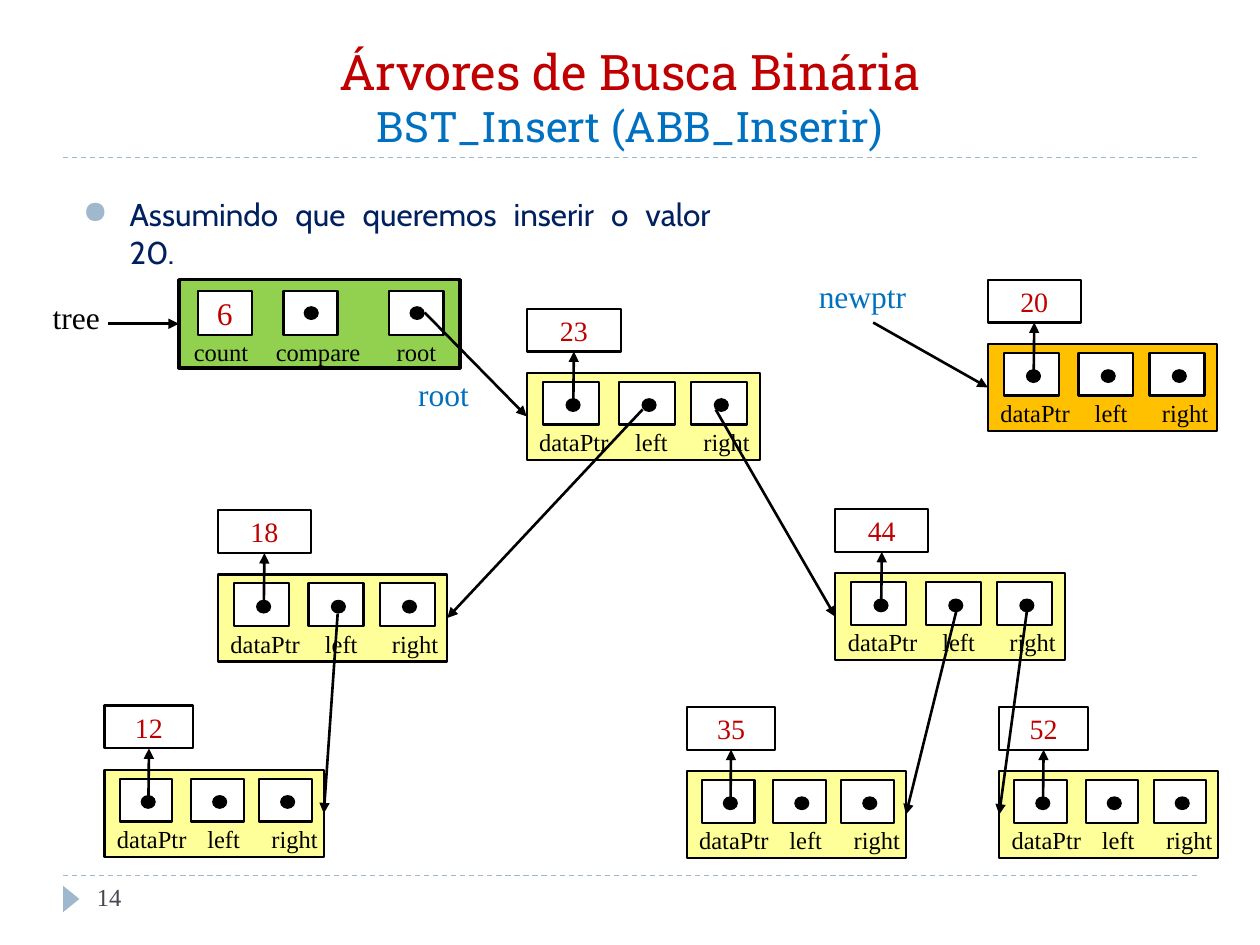
import pptx
import pptx.util
import pptx.dml.color
import pptx.enum.dml
import pptx.enum.shapes
import pptx.enum.text
import pptx.oxml
import pptx.oxml.ns

Inches = pptx.util.Inches
Pt = pptx.util.Pt
SHAPE = pptx.enum.shapes.MSO_SHAPE
ALIGN = pptx.enum.text.PP_ALIGN
ANCHOR = pptx.enum.text.MSO_ANCHOR
NS = pptx.oxml.ns.nsdecls("a")
SERIF = "Times New Roman"
LABEL_H = 0.34
DOT_W, DOT_H = 0.12, 0.11


def rgb(hex_color):
    """Return the colour object for a hex string."""
    return pptx.dml.color.RGBColor.from_string(hex_color)


def style_run(r, size, color, font=SERIF):
    """Format one run."""
    r.font.size = Pt(size)
    r.font.name = font
    r.font.color.rgb = rgb(color)


def add_text(shapes, text, left, top, width, height, size=14, color="000000", font=SERIF, wrap=False):
    """Add a text box and return its paragraph."""
    tf = shapes.add_textbox(Inches(left), Inches(top), Inches(width), Inches(height)).text_frame
    tf.word_wrap = wrap
    p = tf.paragraphs[0]
    p.text = text
    style_run(p.runs[0], size, color, font)
    return p


def add_box(shapes, kind, left, top, width, height, fill, line=None):
    """Add a filled preset shape, outlined in black when a line width is given."""
    sp = shapes.add_shape(kind, Inches(left), Inches(top), Inches(width), Inches(height))
    sp.shadow.inherit = False
    sp.fill.solid()
    sp.fill.fore_color.rgb = rgb(fill)
    if line is None:
        sp.line.fill.background()
    else:
        sp.line.color.rgb = rgb("000000")
        sp.line.width = Pt(line)
    return sp


def add_value(shapes, text, left, top, width, height, size):
    """Add a white box holding a centred red value."""
    sp = add_box(shapes, SHAPE.RECTANGLE, left, top, width, height, "FFFFFF", 1.25)
    tf = sp.text_frame
    tf.vertical_anchor = ANCHOR.MIDDLE
    p = tf.paragraphs[0]
    p.text = text
    p.alignment = ALIGN.CENTER
    style_run(p.runs[0], size, "C00000")
    return sp


def add_dot(shapes, x, y):
    """Add a pointer dot centred on a point."""
    add_box(shapes, SHAPE.OVAL, x - DOT_W / 2, y - DOT_H / 2, DOT_W, DOT_H, "000000")


def add_line(shapes, start, end, color="000000", width=1.5):
    """Add a straight connector without a shadow."""
    cxn = shapes.add_connector(pptx.enum.shapes.MSO_CONNECTOR.STRAIGHT,
                               *(Inches(v) for v in (*start, *end)))
    cxn.line.color.rgb = rgb(color)
    cxn.line.width = Pt(width)
    cxn._element.spPr.append(pptx.oxml.parse_xml(f"<a:effectLst {NS}/>"))
    return cxn


def add_arrow(shapes, start, target, site):
    """Draw an arrow from a point to the middle of a rectangle's side."""
    cxn = add_line(shapes, start, start)
    cxn.end_connect(target, site)
    cxn.line._get_or_add_ln().append(pptx.oxml.parse_xml(f'<a:tailEnd {NS} type="triangle"/>'))


def add_node(slide, value, left, top, width, fill="FFFF99"):
    """Draw a tree node with its data box above and return its body."""
    shapes = slide.shapes.add_group_shape().shapes
    body = add_box(shapes, SHAPE.RECTANGLE, left, top, width, 0.69, fill, 1.25)
    data = add_value(shapes, value, left, top - 0.51, width * 0.405, 0.34, 16)
    fields = [("dataPtr", 0.069, 0, 0.435), ("left", 0.395, 0.412, 0.268), ("right", 0.705, 0.705, 0.33)]
    dot_y = top + 0.255
    for name, cell_at, label_at, label_w in fields:
        cell_left = left + width * cell_at
        add_box(shapes, SHAPE.RECTANGLE, cell_left, top + 0.07, width * 0.24, 0.34, "FFFFFF", 1.25)
        add_dot(shapes, cell_left + width * 0.13, dot_y)
        add_text(shapes, name, left + width * label_at, top + 0.38, width * label_w, LABEL_H)
    add_arrow(shapes, (left + width * 0.2, dot_y), data, 2)
    return body


def add_tree_header(slide, left, top):
    """Draw the tree structure with its three fields and return its body."""
    shapes = slide.shapes.add_group_shape().shapes
    body = add_box(shapes, SHAPE.RECTANGLE, left, top, 2.23, 0.7, "92D050", 2)
    add_value(shapes, "6", left + 0.15, top + 0.09, 0.43, 0.35, 18)
    for cell_at in (0.83, 1.67):
        add_box(shapes, SHAPE.RECTANGLE, left + cell_at, top + 0.09, 0.43, 0.35, "FFFFFF", 1.25)
        add_dot(shapes, left + cell_at + 0.22, top + 0.265)
    for name, label_at, label_w in (("count", 0.02, 0.67), ("compare", 0.67, 0.92), ("root", 1.63, 0.54)):
        add_text(shapes, name, left + label_at, top + 0.405, label_w, LABEL_H)
    return body


def add_frame(slide):
    """Draw the dashed rules, the page marker and the page number."""
    for y in (1.25, 6.95):
        rule = add_line(slide.shapes, (0.5, y), (9.5, y), "9FB8CD", 0.75)
        rule.line.dash_style = pptx.enum.dml.MSO_LINE.DASH
    marker = add_box(slide.shapes, SHAPE.ISOSCELES_TRIANGLE, 0.46, 7.07, 0.21, 0.13, "9FB8CD")
    marker.rotation = 90
    add_text(slide.shapes, "14", 0.67, 6.95, 2.17, 0.4, color="464653", wrap=True)


def add_title(slide, left, top, width, height):
    """Place and format the two-line title."""
    sp = slide.shapes.title
    sp.left, sp.top, sp.width, sp.height = (Inches(v) for v in (left, top, width, height))
    tf = sp.text_frame
    tf.text = "Árvores de Busca Binária\vBST_Insert (ABB_Inserir)"
    tf.vertical_anchor = ANCHOR.BOTTOM
    tf.auto_size = pptx.enum.text.MSO_AUTO_SIZE.NONE
    p = tf.paragraphs[0]
    p.alignment = ALIGN.CENTER
    for r, size, color in zip(p.runs, (28, 24), ("C00000", "0070C0")):
        style_run(r, size, color, "Roboto Slab")


def add_bullet(slide, left, top, width, height):
    """Write the justified bullet sentence."""
    p = add_text(slide.shapes, "Assumindo que queremos inserir o valor 20.", left, top, width, height,
                 18, "002060", "Cabin", True)
    p.alignment = ALIGN.JUSTIFY
    pPr = p._p.get_or_add_pPr()
    pPr.set("marL", str(Inches(0.37)))
    pPr.set("indent", str(Inches(-0.37)))
    pPr.append(pptx.oxml.parse_xml(f'<a:buClr {NS}><a:srgbClr val="9FB8CD"/></a:buClr>'))
    pPr.append(pptx.oxml.parse_xml(f'<a:buChar {NS} char="●"/>'))


def add_diagram(slide):
    """Draw the search tree, the new node and the arrows between them."""
    tree = add_tree_header(slide, 1.42, 2.22)
    places = {"23": (4.18, 2.96, 1.85), "18": (1.73, 4.56, 1.82), "44": (6.63, 4.55, 1.82),
              "35": (5.45, 6.12, 1.74), "52": (7.93, 6.12, 1.74), "12": (0.83, 6.11, 1.74)}
    nodes = {value: add_node(slide, value, *place) for value, place in places.items()}
    new_node = add_node(slide, "20", 7.84, 2.73, 1.82, "FFC000")
    arrows = [((0.86, 2.57), tree, 1), ((3.37, 2.48), nodes["23"], 1),
              ((5.1, 3.25), nodes["18"], 3), ((5.68, 3.25), nodes["44"], 1),
              ((7.59, 4.85), nodes["35"], 3), ((8.15, 4.85), nodes["52"], 1),
              ((2.68, 4.87), nodes["12"], 3), ((6.93, 2.56), new_node, 1)]
    for start, target, site in arrows:
        add_arrow(slide.shapes, start, target, site)
    add_text(slide.shapes, "tree", 0.32, 2.32, 0.58, 0.4, 18)
    add_text(slide.shapes, "newptr", 6.4, 2.15, 0.93, 0.4, 18, "0070C0")
    add_text(slide.shapes, "root", 3.22, 2.93, 0.68, 0.4, 18, "0070C0")


def main():
    """Build the slide and save it."""
    prs = pptx.Presentation()
    prs.slide_width, prs.slide_height = Inches(10), Inches(7.5)
    slide = prs.slides.add_slide(prs.slide_layouts[5])
    add_frame(slide)
    add_title(slide, 0.5, 0.25, 9, 1)
    add_bullet(slide, 0.56, 1.5, 5.18, 0.42)
    add_diagram(slide)
    prs.save("out.pptx")


if __name__ == "__main__":
    main()
